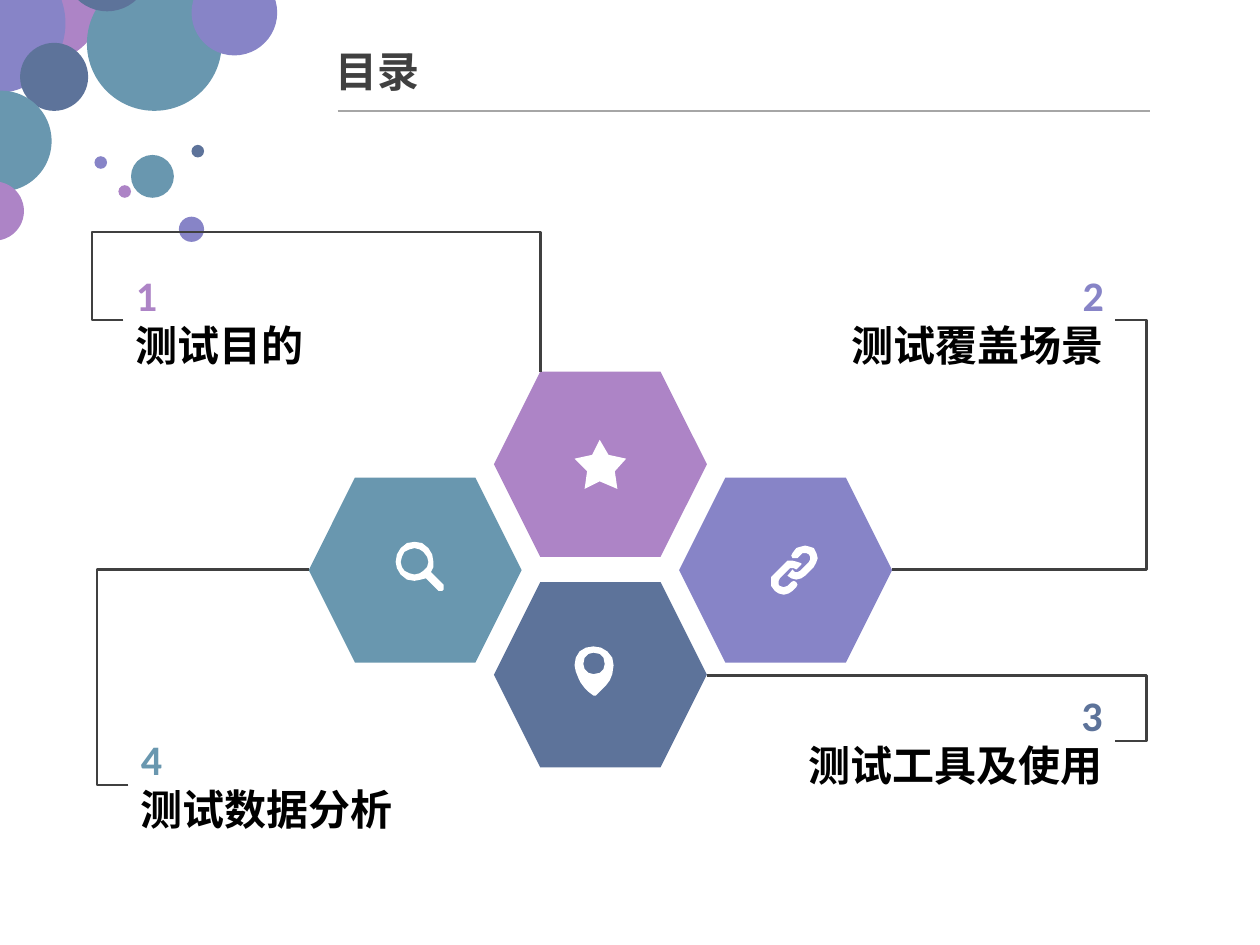
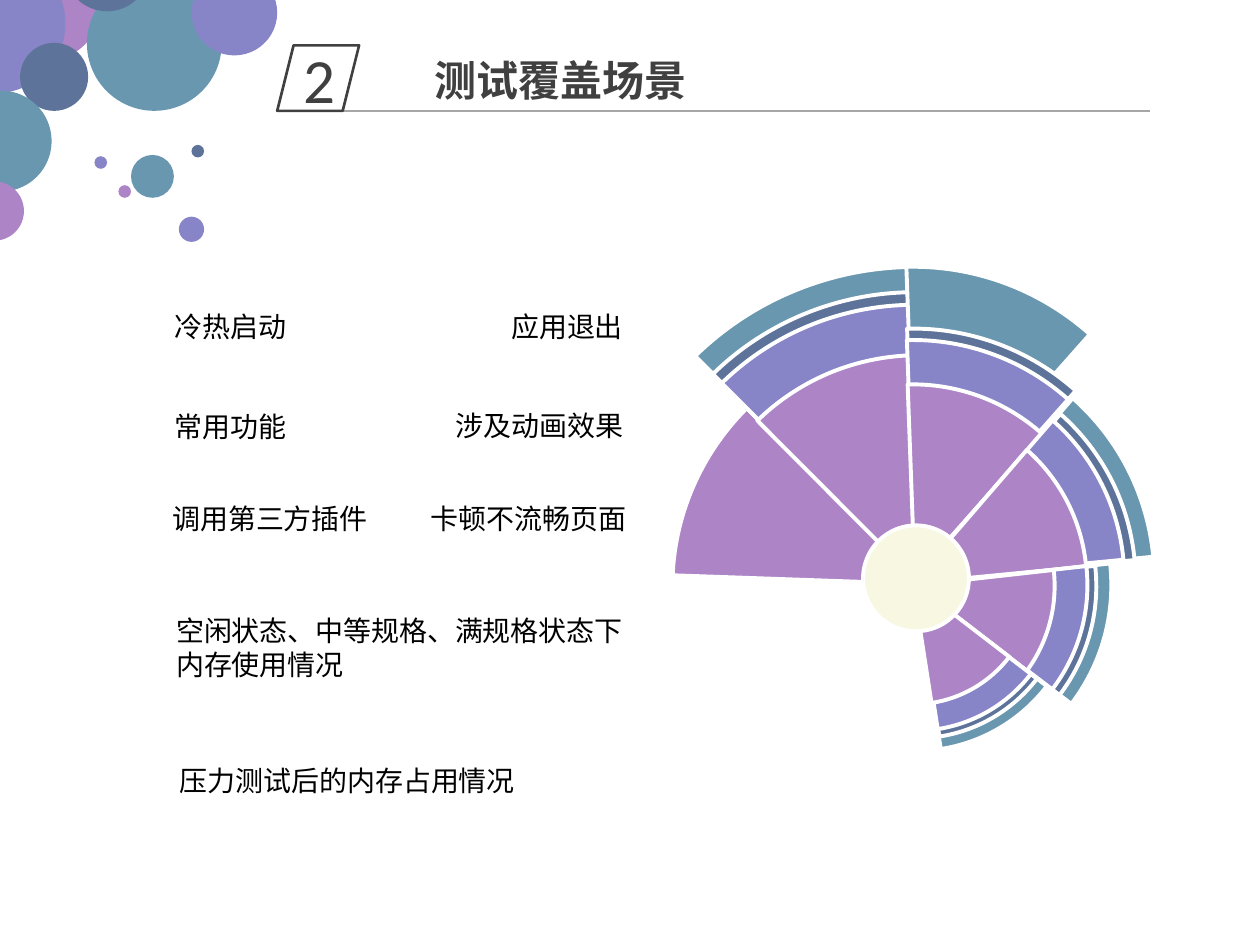
import pptx
import pptx.util
import pptx.dml.color
import pptx.enum.shapes
import pptx.enum.text
import pptx.oxml.ns
import lxml.etree

Inches = pptx.util.Inches
Pt = pptx.util.Pt
MSO = pptx.enum.shapes.MSO_SHAPE
LINK = pptx.enum.shapes.MSO_CONNECTOR
ALIGN = pptx.enum.text.PP_ALIGN
ANCHOR = pptx.enum.text.MSO_ANCHOR
qn = pptx.oxml.ns.qn

PURPLE, VIOLET, SLATE, TEAL = "AD84C6", "8784C7", "5D739A", "6997AF"
WHITE, BLACK, DARK, GREY, CREAM = "FFFFFF", "000000", "404040", "A6A6A6", "F8F7E2"
CJK, LATIN = "Noto Sans CJK SC", "Calibri"

BUBBLES = [
    (-0.12, -0.44, 0.93, PURPLE), (-0.59, -0.37, 1.11, VIOLET),
    (0.16, 0.34, 0.54, SLATE), (-0.39, 0.72, 0.8, TEAL),
    (0.69, -0.19, 1.07, TEAL), (0.51, -0.59, 0.68, SLATE),
    (-0.28, 1.44, 0.47, PURPLE), (1.04, 1.23, 0.34, TEAL),
    (0.94, 1.47, 0.1, PURPLE), (0.75, 1.24, 0.1, VIOLET),
    (1.52, 1.15, 0.1, SLATE), (1.42, 1.72, 0.2, VIOLET),
    (1.52, -0.24, 0.68, VIOLET),
]

HEXAGONS = [(3.92, 2.95, PURPLE), (3.92, 4.62, SLATE),
            (2.45, 3.79, TEAL), (5.39, 3.79, VIOLET)]

MAGNIFIER = [
    [(329, 435), (325, 436), (321, 438), (319, 442), (318, 446), (319, 450),
     (321, 453), (325, 455), (329, 456), (333, 455), (336, 453), (339, 450),
     (340, 446), (339, 442), (336, 438), (333, 436)],
    [(329, 430), (335, 431), (340, 435), (343, 440), (344, 446), (344, 450),
     (342, 454), (352, 464), (352, 468), (351, 469), (348, 469), (347, 468),
     (338, 459), (334, 460), (329, 461), (323, 460), (318, 456), (315, 451),
     (314, 446), (315, 440), (318, 435), (323, 431)],
]
CHAIN = [
    [(629, 445), (633, 446), (636, 447), (636, 448), (632, 452), (630, 451),
     (627, 451), (626, 452), (619, 459), (618, 461), (618, 464), (619, 465),
     (622, 466), (625, 465), (628, 462), (630, 461), (632, 462), (633, 464),
     (632, 466), (629, 469), (626, 471), (622, 472), (618, 471), (615, 469),
     (612, 465), (612, 458), (615, 455), (622, 448), (625, 445)],
    [(639, 433), (643, 434), (646, 435), (648, 439), (649, 443), (648, 446),
     (646, 450), (639, 457), (636, 459), (632, 460), (628, 459), (625, 457),
     (629, 452), (631, 454), (633, 454), (635, 453), (642, 446), (643, 444),
     (643, 442), (642, 440), (640, 439), (637, 439), (636, 440), (633, 443),
     (629, 443), (628, 441), (629, 439), (632, 435), (635, 434)],
]
PIN = [
    [(471, 518), (467, 519), (464, 522), (463, 527), (464, 531), (467, 534),
     (471, 535), (476, 534), (479, 531), (480, 527), (479, 522), (476, 519)],
    [(471, 513), (477, 514), (482, 517), (486, 522), (487, 528), (486, 535),
     (484, 540), (481, 544), (477, 548), (473, 552), (471, 552), (467, 549),
     (464, 546), (461, 542), (459, 538), (457, 533), (456, 528), (457, 522),
     (460, 517), (465, 514)],
]
STAR = [[(476, 349), (483, 361), (497, 364), (488, 374), (490, 388),
         (476, 382), (464, 388), (466, 374), (456, 364), (470, 361)]]

AGENDA = [
    ("2", "测试覆盖场景", VIOLET, (6.33, 2.09, 2.53, 0.91), ALIGN.RIGHT),
    ("3", "测试工具及使用", SLATE, (6.25, 5.42, 2.6, 0.91), ALIGN.RIGHT),
    ("4", "测试数据分析", TEAL, (1.02, 5.77, 2.73, 0.91), ALIGN.LEFT),
    ("1", "测试目的", PURPLE, (0.98, 2.09, 2.88, 0.91), ALIGN.LEFT),
]

ELBOWS = [((0.98, 2.54), (4.29, 2.95), 0.73, 1.84), ((7.08, 4.52), (8.85, 2.54), 9.1, None),
          ((5.61, 5.36), (8.85, 5.88), 9.1, None), ((1.02, 6.23), (2.45, 4.52), 0.77, None)]

RING_COLORS = [TEAL, SLATE, VIOLET, PURPLE]
WEDGES = [
    (324.5, 0.99, [(5.33, 2.66, 3.99)]),
    (7.6, 0.99, [(4.78, 2.12, 4.97), (4.98, 2.32, 4.57), (5.08, 2.42, 4.37), (5.47, 2.82, 3.65)]),
    (50.4, 0.99, [(5.17, 2.13, 4.2), (5.34, 2.62, 3.86), (5.42, 2.71, 3.69), (5.72, 3.06, 3.08)]),
    (93.3, 0.99, [(5.36, 2.71, 3.82), (5.51, 2.87, 3.52), (5.58, 2.94, 3.36), (5.83, 3.24, 2.81)]),
    (136.1, 1, [(5.71, 3.09, 3.11), (5.84, 3.22, 2.86), (5.9, 3.28, 2.73), (6.09, 3.51, 2.28)]),
    (180, 1, [(5.95, 3.33, 2.63), (6.06, 3.44, 2.42), (6.11, 3.49, 2.31), (6.28, 3.66, 1.93)]),
]

SCENARIOS = [
    ((1.29, 2.41, 1.97, 0.37), ["冷热启动"]),
    ((3.96, 2.41, 1.17, 0.37), ["应用退出"]),
    ((1.29, 3.2, 1.97, 0.37), ["常用功能"]),
    ((3.52, 3.19, 1.64, 0.37), ["涉及动画效果"]),
    ((1.27, 3.93, 1.97, 0.37), ["调用第三方插件"]),
    ((3.32, 3.93, 1.97, 0.37), ["卡顿不流畅页面"]),
    ((1.3, 4.82, 3.97, 0.64), ["空闲状态、中等规格、满规格状态下", "内存使用情况"]),
    ((1.33, 6.01, 3.65, 0.37), ["压力测试后的内存占用情况"]),
]


def rgb(value):
    return pptx.dml.color.RGBColor.from_string(value)


class Deck:
    """Holds the shared style and the slide being built."""

    def __init__(self):
        self.prs = pptx.Presentation()
        self.prs.slide_width, self.prs.slide_height = Inches(10), Inches(7.5)
        self.s = None

    def slide(self, title, box):
        self.s = self.prs.slides.add_slide(self.prs.slide_layouts[5])
        sp = self.s.shapes.title
        sp.left, sp.top, sp.width, sp.height = map(Inches, box)
        self.set_text(sp, [(title, CJK, DARK)], size=24, bold=True)
        group = self.s.shapes.add_group_shape()
        for x, y, d, color in BUBBLES:
            self.shape(MSO.OVAL, (x, y, d, d), color, shapes=group.shapes)
        self.line(LINK.STRAIGHT, (2.68, 0.88), (9.13, 0.88), GREY, 0.79)

    def paint(self, sp, fill=None, line=None, width=1.5):
        sp.shadow.inherit = False
        if fill:
            sp.fill.solid()
            sp.fill.fore_color.rgb = rgb(fill)
        else:
            sp.fill.background()
        if line:
            sp.line.color.rgb = rgb(line)
            sp.line.width = Pt(width)
        else:
            sp.line.fill.background()
        return sp

    def shape(self, kind, box, fill=None, line=None, width=1.5, shapes=None):
        sp = (shapes or self.s.shapes).add_shape(kind, *map(Inches, box))
        return self.paint(sp, fill, line, width)

    def icon(self, contours):
        first, *rest = contours
        fb = self.s.shapes.build_freeform(*first[0], scale=Inches(0.01))
        fb.add_line_segments(first[1:])
        for points in rest:
            fb.move_to(*points[0])
            fb.add_line_segments(points[1:])
        self.paint(fb.convert_to_shape(), WHITE)

    def line(self, kind, start, end, color, width):
        sp = self.s.shapes.add_connector(kind, *map(Inches, start + end))
        sp.line.color.rgb = rgb(color)
        sp.line.width = Pt(width)
        lxml.etree.SubElement(sp._element.spPr, qn("a:effectLst"))
        return sp

    def elbow(self, start, end, via_x, via_y):
        sp = self.line(LINK.ELBOW, start, end, DARK, 1.5)
        ratios = [(via_x - start[0]) / (end[0] - start[0])]
        geom = sp._element.spPr.find(qn("a:prstGeom"))
        if via_y is not None:
            ratios.append((via_y - start[1]) / (end[1] - start[1]))
            geom.set("prst", "bentConnector4")
        guides = geom.find(qn("a:avLst"))
        for i, ratio in enumerate(ratios, 1):
            lxml.etree.SubElement(guides, qn("a:gd"), name=f"adj{i}",
                                  fmla=f"val {round(ratio * 100000)}")

    def text(self, box, lines, size, bold=False, align=ALIGN.LEFT):
        sp = self.s.shapes.add_textbox(*map(Inches, box))
        self.set_text(sp, lines, size, bold, align)

    def set_text(self, sp, lines, size, bold=False, align=ALIGN.LEFT, anchor=ANCHOR.TOP):
        tf = sp.text_frame
        frame = {"word_wrap": True, "vertical_anchor": anchor,
                 "auto_size": pptx.enum.text.MSO_AUTO_SIZE.NONE}
        for name, value in frame.items():
            setattr(tf, name, value)
        for i, (words, font, color) in enumerate(lines):
            p = tf.add_paragraph() if i else tf.paragraphs[0]
            p.alignment = align
            r = p.add_run()
            r.text = words
            for name, value in {"name": font, "size": Pt(size), "bold": bold}.items():
                setattr(r.font, name, value)
            r.font.color.rgb = rgb(color)
            lxml.etree.SubElement(r._r.get_or_add_rPr(), qn("a:ea"), typeface=font)


def agenda(deck):
    deck.slide("目录", (2.56, 0.31, 5.13, 0.5))
    for x, y, color in HEXAGONS:
        deck.shape(MSO.HEXAGON, (x, y, 1.69, 1.47), color)
    for contours in (MAGNIFIER, CHAIN, PIN, STAR):
        deck.icon(contours)
    for number, topic, color, box, align in AGENDA:
        deck.text(box, [(number, LATIN, color), (topic, CJK, BLACK)], 24, True, align)
    for elbow in ELBOWS:
        deck.elbow(*elbow)


def scenarios(deck):
    deck.slide("测试覆盖场景", (3.35, 0.38, 5.13, 0.53))
    badge = deck.shape(MSO.PARALLELOGRAM, (2.2, 0.36, 0.65, 0.52), line=DARK)
    deck.set_text(badge, [("2", LATIN, DARK)], 36, align=ALIGN.CENTER, anchor=ANCHOR.MIDDLE)
    for rotation, aspect, rings in WEDGES:
        for (x, y, d), color in zip(rings, RING_COLORS[-len(rings):]):
            sp = deck.shape(MSO.PIE, (x, y, d, d * aspect), color, WHITE, 2.25)
            sp.adjustments[0], sp.adjustments[1] = 130.5, 156.71
            sp.rotation = rotation
    deck.shape(MSO.OVAL, (6.85, 4.17, 0.84, 0.84), CREAM, WHITE, 2.25)
    for box, lines in SCENARIOS:
        deck.text(box, [(words, CJK, BLACK) for words in lines], 16)


def main():
    deck = Deck()
    agenda(deck)
    scenarios(deck)
    deck.prs.save("out.pptx")


if __name__ == "__main__":
    main()
